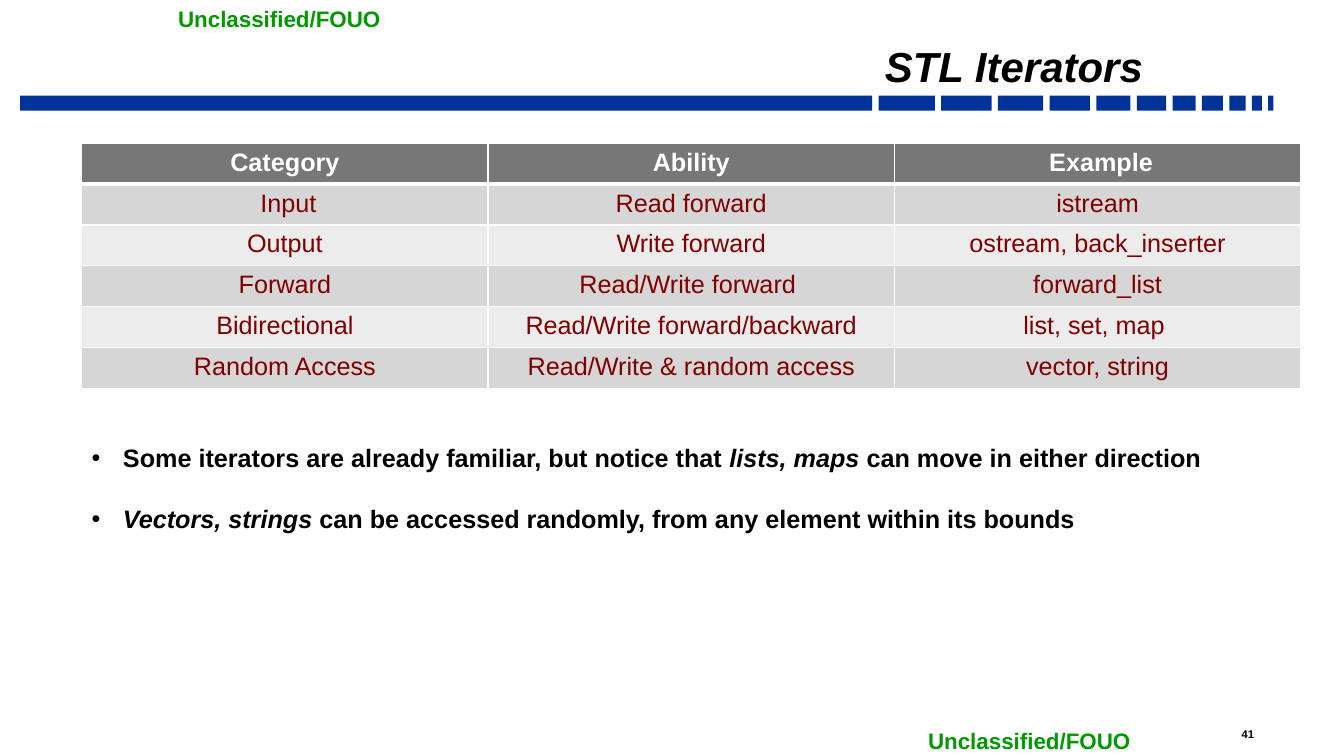
from lxml import etree
from pptx import Presentation
from pptx.dml.color import RGBColor
from pptx.enum.shapes import MSO_SHAPE
from pptx.enum.text import MSO_ANCHOR, PP_ALIGN
from pptx.oxml.ns import qn
from pptx.util import Cm, Pt

RECTANGLE = MSO_SHAPE.RECTANGLE
TOP, BOTTOM = MSO_ANCHOR.TOP, MSO_ANCHOR.BOTTOM
LEFT, CENTER, RIGHT = PP_ALIGN.LEFT, PP_ALIGN.CENTER, PP_ALIGN.RIGHT

FONT = "Arial"
BLACK, WHITE, BLUE, GREEN, MAROON = "000000", "FFFFFF", "003399", "009900", "800000"
HEADER_FILL, BAND_FILLS = "777777", ("D6D6D6", "ECECEC")

TITLE = "STL Iterators"
MARKING = "Unclassified/FOUO"
MARKING_PLACES = [(4.24, 0), (23.14, 18.21)]
PAGE_NUMBER = "41"
ITERATORS = [
    ("Category", "Ability", " Example"),
    (" Input", "Read forward", "istream"),
    ("Output", "Write forward", "ostream, back_inserter"),
    ("Forward", "Read/Write forward ", "forward_list"),
    ("Bidirectional", "Read/Write forward/backward", "list, set, map "),
    ("Random Access", "Read/Write & random access", "vector, string"),
]
# Each bullet is a list of (text, italic) spans.
BULLETS = [
    [("Some iterators are already familiar, but notice that ", False),
     ("lists, maps", True), (" can move in either direction", False)],
    [("Vectors, strings ", True),
     ("can be accessed randomly, from any element within its bounds", False)],
]
BAR_WIDTHS = [21.47, 1.42, 1.27, 1.14, 1.02, 0.86, 0.74, 0.58, 0.53, 0.41, 0.25, 0.13]
BAR_LEFT, BAR_TOP, BAR_HEIGHT, BAR_GAP = 0.51, 2.41, 0.38, 0.16
TABLE_LEFT, TABLE_TOP, COLUMN_WIDTH, ROW_HEIGHT = 2.06, 3.61, 10.24, 1.03
BULLET_INDENT = 0.79


def color(value):
    return RGBColor.from_string(value)


def add_span(para, text, size=18, ink=BLACK, bold=True, italic=False):
    span = para.add_run()
    span.text = text
    font = span.font
    font.name, font.size, font.bold, font.italic = FONT, Pt(size), bold, italic
    font.color.rgb = color(ink)


def add_text(page, text, left, top, width, height, align=LEFT, anchor=TOP,
             wrap=True, line_spacing=None, **style):
    """Add a text box; an empty text leaves its first paragraph free."""
    frame = page.shapes.add_textbox(Cm(left), Cm(top), Cm(width), Cm(height)).text_frame
    frame.word_wrap, frame.vertical_anchor = wrap, anchor
    para = frame.paragraphs[0]
    para.alignment = align
    if line_spacing:
        para.line_spacing = line_spacing
    if text:
        add_span(para, text, **style)
    return frame


def add_bars(page):
    left = BAR_LEFT
    for width in BAR_WIDTHS:
        bar = page.shapes.add_shape(RECTANGLE, Cm(left), Cm(BAR_TOP), Cm(width), Cm(BAR_HEIGHT))
        bar.shadow.inherit = False
        bar.fill.solid()
        bar.fill.fore_color.rgb = color(BLUE)
        bar.line.fill.background()
        left += width + BAR_GAP


def set_borders(cell, **widths):
    """Draw white cell borders, with widths in points by side, in the order L, R, T, B."""
    properties = cell._tc.get_or_add_tcPr()
    for position, (side, width) in enumerate(widths.items()):
        line = etree.Element(qn("a:ln" + side), w=str(Pt(width)))
        fill = etree.SubElement(line, qn("a:solidFill"))
        etree.SubElement(fill, qn("a:srgbClr"), val=WHITE)
        properties.insert(position, line)


def add_iterator_table(page):
    row_count, column_count = len(ITERATORS), len(ITERATORS[0])
    table = page.shapes.add_table(
        row_count, column_count, Cm(TABLE_LEFT), Cm(TABLE_TOP),
        Cm(COLUMN_WIDTH * column_count), Cm(ROW_HEIGHT * row_count)).table
    for column in table.columns:
        column.width = Cm(COLUMN_WIDTH)
    for row_index, texts in enumerate(ITERATORS):
        table.rows[row_index].height = Cm(ROW_HEIGHT)
        header = row_index == 0
        for column_index, text in enumerate(texts):
            cell = table.cell(row_index, column_index)
            cell.fill.solid()
            cell.fill.fore_color.rgb = color(
                HEADER_FILL if header else BAND_FILLS[(row_index - 1) % 2])
            set_borders(cell, L=1, R=1, T=3 if row_index == 1 else 1, B=3 if header else 1)
            para = cell.text_frame.paragraphs[0]
            para.alignment = CENTER
            add_span(para, text, ink=WHITE if header else MAROON, bold=header)


def add_bullets(page):
    frame = add_text(page, "", 2.06, 11.02, 28.75, 2.57)
    for index, spans in enumerate(BULLETS):
        para = frame.add_paragraph() if index else frame.paragraphs[0]
        para.space_before = Pt(22 if index else 0)
        properties = para._p.get_or_add_pPr()
        properties.set("marL", str(Cm(BULLET_INDENT)))
        properties.set("indent", str(-Cm(BULLET_INDENT)))
        etree.SubElement(properties, qn("a:buFont"), typeface=FONT)
        etree.SubElement(properties, qn("a:buChar"), char="•")
        for text, italic in spans:
            add_span(para, text, italic=italic)


def main():
    deck = Presentation()
    deck.slide_width, deck.slide_height = Cm(33.87), Cm(19.05)
    page = deck.slides.add_slide(deck.slide_layouts[6])
    add_bars(page)
    add_text(page, PAGE_NUMBER, 31.04, 18.21, 1.83, 0.58, size=8)
    for left, top in MARKING_PLACES:
        add_text(page, MARKING, left, top, 5.69, 0.94, wrap=False, size=16, ink=GREEN)
    add_text(page, TITLE, 5.64, 0.89, 23.42, 1.5, align=RIGHT, anchor=BOTTOM,
             line_spacing=0.7, size=30, italic=True)
    add_iterator_table(page)
    add_bullets(page)
    deck.save("out.pptx")


if __name__ == "__main__":
    main()
